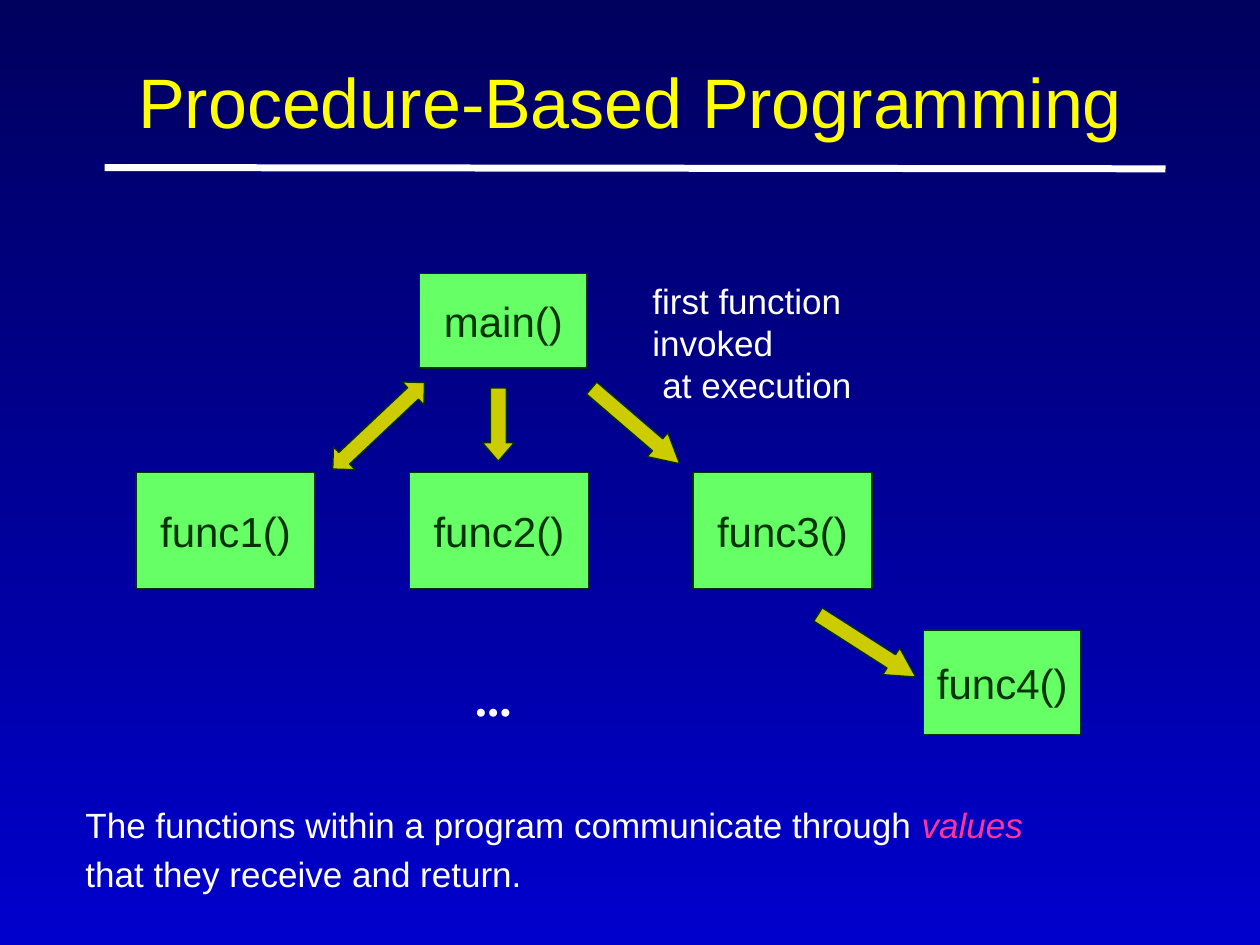
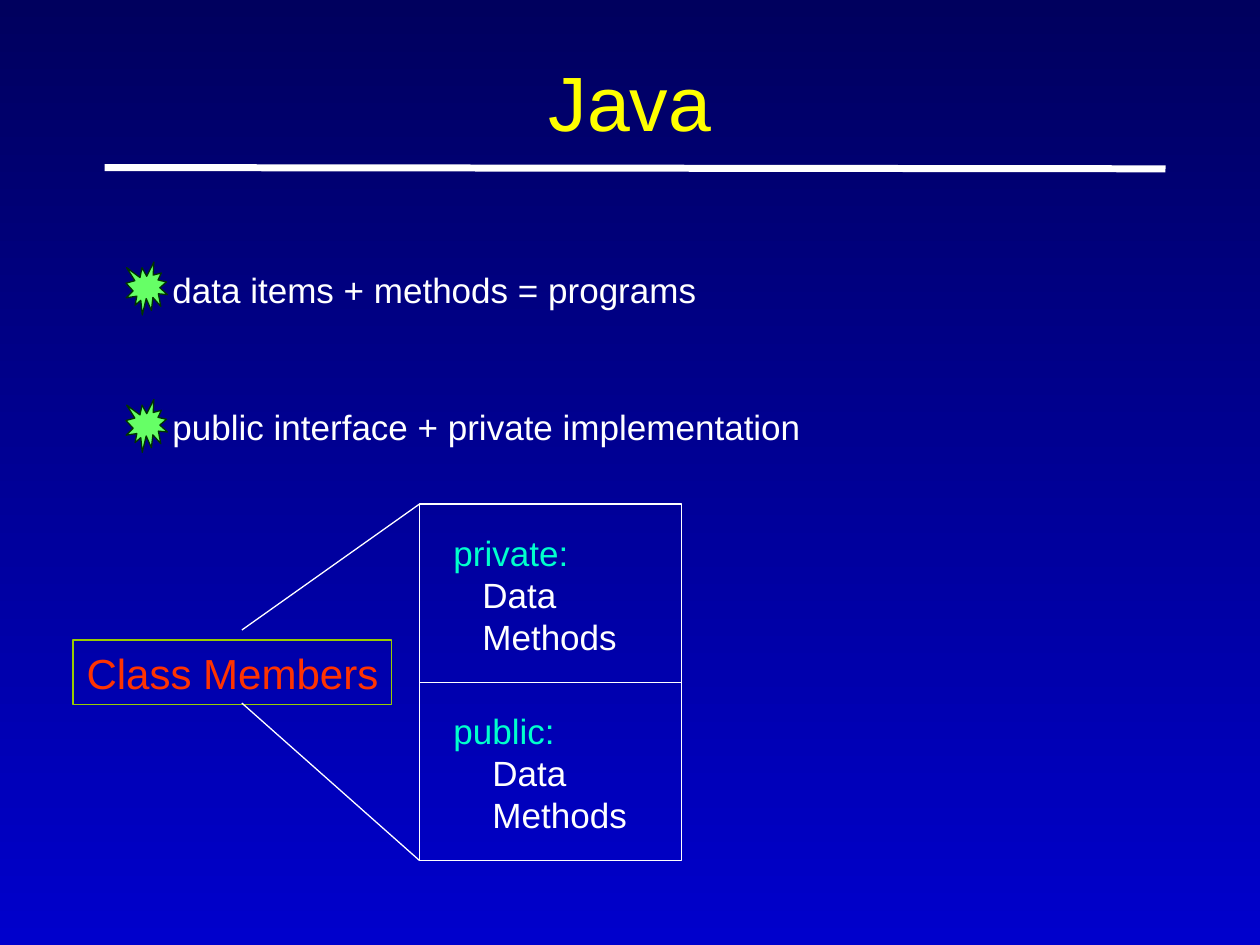
from pptx import Presentation
from pptx.dml.color import RGBColor
from pptx.enum.shapes import MSO_CONNECTOR, MSO_SHAPE as SHAPE
from pptx.enum.text import MSO_ANCHOR as ANCHOR, PP_ALIGN as ALIGN
from pptx.oxml.ns import qn
from pptx.util import Inches, Pt
from lxml import etree

# Shared look
COLORS = {
    "sky_top": "00005E", "sky_bottom": "0000CC", "title": "FFFF00",
    "text": "FFFFFF", "box": "66FF66", "outline": "003300",
    "arrow": "CCCC00", "accent": "FF3399", "label": "FF3300",
    "label_frame": "99CC00", "access": "00FFCC",
}
FONT = "Arial"
TITLE_AREA = (0.75, 0.17, 8.5, 1.25)
TITLE_RULE = ((0.83, 1.33), (9.25, 1.34))

# Slide 1 content: name, left, top, width, height
FUNCTIONS = [("main()", 3.33, 2.17, 1.33, 0.75)]
FUNCTIONS += [(f"func{number}()", left, 3.75, 1.42, 0.92)
              for number, left in enumerate((1.08, 3.25, 5.5), 1)]
FUNCTIONS += [("func4()", 7.33, 5, 1.25, 0.83)]

# Preset, area, rotation, adjustments (the two-headed arrow lists its head first)
CALLS = [
    (SHAPE.UP_DOWN_ARROW, (2.88, 2.88, 0.25, 1), 46.7, (0.8, 0.5)),
    (SHAPE.DOWN_ARROW, (3.83, 3.08, 0.25, 0.58), 0, (0.5, 0.58)),
    (SHAPE.DOWN_ARROW, (4.92, 2.92, 0.25, 0.92), 310.7, (0.5, 0.92)),
    (SHAPE.RIGHT_ARROW, (6.42, 5, 0.92, 0.25), 32.6, (0.5, 0.92)),
]
MAIN_NOTE = ["first function invoked", "at execution"]
SUMMARY = [("The functions within a program communicate through ", "values"),
           "that they receive and return."]

# Slide 2 content
POINTS = [("data items + methods = programs", 2.08),
          ("public interface + private implementation", 3.17)]
MEMBERS = ["Data", "Methods"]
ACCESS_GROUPS = [("private:", 4.17, 0.23), ("public:", 5.58, 0.31)]
CLASS_BOX = (3.33, 4, 2.08, 2.83)
LABEL_BOX = (0.58, 5.08, 2.53, 0.51)
FAN_LINES = [((1.92, 5), (3.33, 4)), ((1.92, 5.58), (3.33, 6.83))]


def rgb(name):
    return RGBColor.from_string(COLORS[name])


def set_font(font, size, color, name=FONT, bold=False):
    font.size, font.name, font.bold = Pt(size), name, bold
    font.color.rgb = rgb(color)


def add_text(slide, area, lines, size=20, color="text", name=FONT, bold=False,
             wrap=False, pitch=None):
    frame = slide.shapes.add_textbox(*map(Inches, area)).text_frame
    frame.word_wrap = wrap
    for index, line in enumerate(lines):
        paragraph = frame.add_paragraph() if index else frame.paragraphs[0]
        if isinstance(line, str):
            paragraph.text = line
        else:
            for part in line:
                paragraph.add_run().text = part
        set_font(paragraph.font, size, color, name, bold)
        if pitch:
            paragraph.line_spacing = Pt(pitch)
    return frame


def indent(paragraph, inches):
    properties = paragraph._p.get_or_add_pPr()
    properties.set("marL", str(Inches(inches)))
    properties.set("indent", "0")


def add_figure(slide, preset, area, fill=None, line="outline"):
    figure = slide.shapes.add_shape(preset, *map(Inches, area))
    figure.shadow.inherit = False
    if fill:
        figure.fill.solid()
        figure.fill.fore_color.rgb = rgb(fill)
    else:
        figure.fill.background()
    figure.line.color.rgb = rgb(line)
    figure.line.width = Pt(0.75)
    return figure


def add_label(figure, text, color):
    frame = figure.text_frame
    frame.word_wrap = False
    frame.vertical_anchor = ANCHOR.MIDDLE
    paragraph = frame.paragraphs[0]
    paragraph.text = text
    paragraph.alignment = ALIGN.CENTER
    set_font(paragraph.font, 24, color)


def add_line(slide, start, end, width=0.75):
    line = slide.shapes.add_connector(
        MSO_CONNECTOR.STRAIGHT, *map(Inches, start + end))
    line.line.color.rgb = rgb("text")
    line.line.width = Pt(width)
    etree.SubElement(line._element.spPr, qn("a:effectLst"))
    return line


def add_titled_slide(deck, title, size):
    slide = deck.slides.add_slide(deck.slide_layouts[6])
    frame = add_text(slide, TITLE_AREA, [title], size, "title", wrap=True)
    frame.vertical_anchor = ANCHOR.MIDDLE
    frame.paragraphs[0].alignment = ALIGN.CENTER
    add_line(slide, *TITLE_RULE, width=4)
    return slide


def set_background(deck):
    fill = deck.slide_master.background.fill
    fill.gradient()
    fill.gradient_angle = 270
    for stop, color in zip(fill.gradient_stops, ("sky_top", "sky_bottom")):
        stop.color.rgb = rgb(color)


def build_procedures(deck):
    slide = add_titled_slide(deck, "Procedure-Based Programming", 40)

    # Call tree
    for name, *area in FUNCTIONS:
        add_label(add_figure(slide, SHAPE.RECTANGLE, area, "box"), name, "outline")
    for preset, area, rotation, adjustments in CALLS:
        arrow = add_figure(slide, preset, area, "arrow")
        arrow.rotation = rotation
        for index, value in enumerate(adjustments):
            arrow.adjustments[index] = value
    add_text(slide, (3.67, 5.25, 0.49, 0.57), ["..."], 28,
             name="Times New Roman", bold=True)

    # Remarks
    note = add_text(slide, (5.08, 2.17, 2.3, 1.1), MAIN_NOTE, wrap=True, pitch=24)
    indent(note.paragraphs[1], 0.08)
    summary = add_text(slide, (0.58, 6.33, 7.7, 0.83), SUMMARY, pitch=24)
    summary.paragraphs[1].line_spacing = Pt(28)
    values = summary.paragraphs[0].runs[1].font
    values.italic = True
    values.color.rgb = rgb("accent")


def build_class(deck):
    slide = add_titled_slide(deck, "Java", 44)

    # Points with star markers
    for point, top in POINTS:
        add_text(slide, (1.27, top, 5.31, 0.44), [point], pitch=24)
        add_figure(slide, SHAPE.EXPLOSION1, (1, top, 0.33, 0.42), "box")

    # Class box split into private and public halves
    class_box = add_figure(slide, SHAPE.RECTANGLE, CLASS_BOX, line="text")
    left, top, width, height = CLASS_BOX
    middle = top + height / 2
    divider = add_line(slide, (left, middle), (left + width, middle))
    divider.begin_connect(class_box, 1)
    divider.end_connect(class_box, 3)
    for access, top, member_indent in ACCESS_GROUPS:
        group = add_text(slide, (3.5, top, 1.59, 1.11), [access] + MEMBERS, pitch=24)
        heading, *members = group.paragraphs
        heading.font.color.rgb = rgb("access")
        for member in members:
            indent(member, member_indent)

    # Label and its fan lines
    label = add_figure(slide, SHAPE.RECTANGLE, LABEL_BOX, line="label_frame")
    add_label(label, "Class Members", "label")
    for start, end in FAN_LINES:
        add_line(slide, start, end)


def main():
    deck = Presentation()
    deck.slide_width, deck.slide_height = Inches(10), Inches(7.5)
    set_background(deck)
    build_procedures(deck)
    build_class(deck)
    deck.save("out.pptx")


if __name__ == "__main__":
    main()
